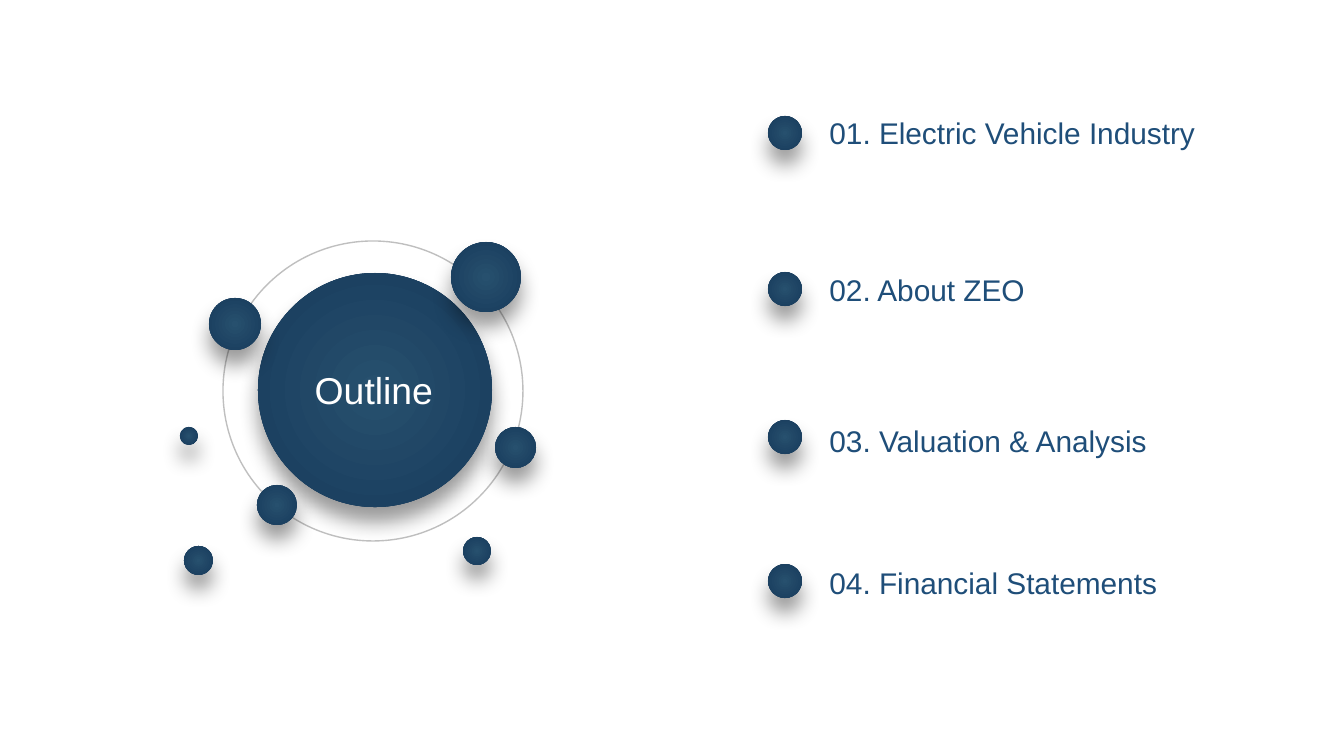
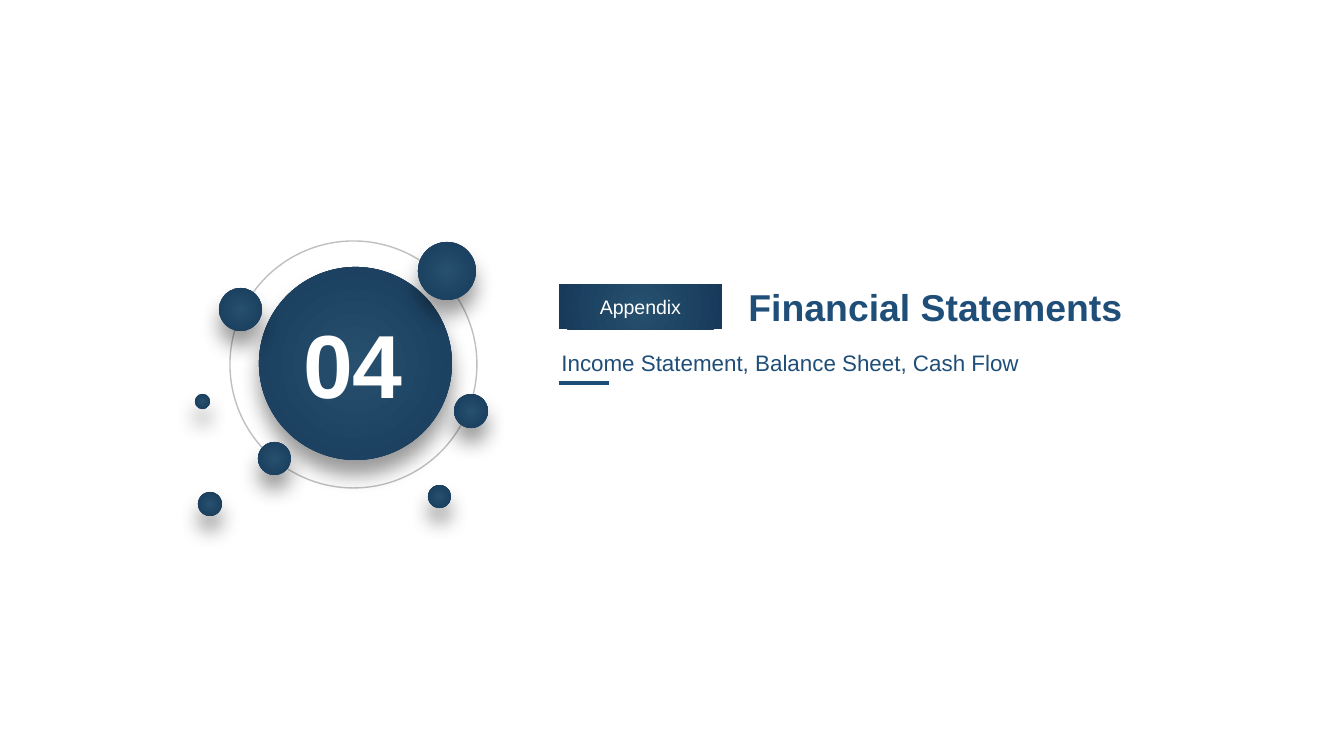
"""Build the outline slide and the appendix divider of the deck."""
import pptx
import pptx.dml.color
import pptx.enum.shapes
import pptx.enum.text
import pptx.oxml.ns
import pptx.util
from lxml import etree

PX = 6804
FONT = "Arial"
COLORS = {
    "core": "27506E",
    "edge": "173A5B",
    "ink": "1F4E79",
    "ring": "BFBFBF",
    "white": "FFFFFF",
    "shadow": "000000",
}
RGB = {name: pptx.dml.color.RGBColor.from_string(value) for name, value in COLORS.items()}
LEFT = pptx.enum.text.PP_ALIGN.LEFT
CENTER = pptx.enum.text.PP_ALIGN.CENTER
OVAL = pptx.enum.shapes.MSO_SHAPE.OVAL
RECTANGLE = pptx.enum.shapes.MSO_SHAPE.RECTANGLE
qn = pptx.oxml.ns.qn


def add_glow_shape(slide, kind, left, top, width, height, shadow=True):
    """Add a shape with the radial blue fill and, if wanted, the soft shadow."""
    shape = slide.shapes.add_shape(kind, left * PX, top * PX, width * PX, height * PX)
    shape.fill.gradient()
    for stop, name in zip(shape.fill.gradient_stops, ("core", "edge")):
        stop.color.rgb = RGB[name]
    gradient = shape.element.spPr.find(qn("a:gradFill"))
    gradient.remove(gradient.find(qn("a:lin")))
    radial = etree.SubElement(gradient, qn("a:path"), path="circle")
    etree.SubElement(radial, qn("a:fillToRect"), l="50000", t="50000", r="50000", b="50000")
    shape.line.fill.background()
    shape.shadow.inherit = False
    if shadow:
        effects = shape.element.spPr.find(qn("a:effectLst"))
        outer = etree.SubElement(effects, qn("a:outerShdw"), blurRad="139700", dist="101600",
                                 dir="5400000", algn="t", rotWithShape="0")
        color = etree.SubElement(outer, qn("a:srgbClr"), val=COLORS["shadow"])
        etree.SubElement(color, qn("a:alpha"), val="40000")
    return shape


def write_text(shape, box, lines, size, color="ink", bold=False, align=LEFT,
               line_spacing=1.0, gaps=(0,)):
    """Place a text shape and fill it with formatted paragraphs."""
    shape.left, shape.top, shape.width, shape.height = [length * PX for length in box]
    frame = shape.text_frame
    frame.text = "\n".join(lines)
    frame.word_wrap = False
    frame.auto_size = pptx.enum.text.MSO_AUTO_SIZE.NONE
    frame.vertical_anchor = pptx.enum.text.MSO_ANCHOR.TOP
    for paragraph, gap in zip(frame.paragraphs, gaps):
        properties = paragraph._p.get_or_add_pPr()
        properties.set("marL", "0")
        properties.set("indent", "0")
        etree.SubElement(properties, qn("a:buNone"))
        paragraph.alignment = align
        paragraph.line_spacing = line_spacing
        paragraph.space_before = pptx.util.Pt(gap)
        paragraph.font.name = FONT
        paragraph.font.size = pptx.util.Pt(size)
        paragraph.font.bold = bold
        paragraph.font.color.rgb = RGB[color]


presentation = pptx.Presentation()
presentation.slide_width = 1344 * PX
presentation.slide_height = 756 * PX
layout = presentation.slide_layouts[1]
outline = presentation.slides.add_slide(layout)
appendix = presentation.slides.add_slide(layout)

RING_SIZE = 300
BALLS = [
    (78, 32, 234),
    (271, 1, 70),
    (29, 57, 52),
    (4, 305, 29),
    (77, 244, 40),
    (315, 186, 41),
    (283, 296, 28),
    (0, 186, 18),
]
ORBIT_TOP = 241
for slide, orbit_left, scale in ((outline, 180, 1), (appendix, 195, 0.823)):
    ring_size = round(RING_SIZE * scale) * PX
    ring = slide.shapes.add_shape(OVAL, (orbit_left + round(43 * scale)) * PX,
                                  ORBIT_TOP * PX, ring_size, ring_size)
    ring.fill.background()
    ring.line.color.rgb = RGB["ring"]
    ring.line.width = pptx.util.Pt(0.75)
    ring.shadow.inherit = False
    for ball in BALLS:
        left, top, size = [round(length * scale) for length in ball]
        add_glow_shape(slide, OVAL, orbit_left + left, ORBIT_TOP + top, size, size)

title = outline.shapes.title
write_text(title, (301, 360, 146, 59), ["Outline"], 20, "white", align=CENTER)
title.element.getparent().append(title.element)

topics = ["Electric Vehicle Industry", "About ZEO", "Valuation & Analysis", "Financial Statements"]
write_text(outline.placeholders[1], (816, 108, 398, 495),
           [f"{number:02}. {topic}" for number, topic in enumerate(topics, 1)],
           16, gaps=(0, 65, 61.5, 57))
for dot_top in (116, 272, 420, 564):
    add_glow_shape(outline, OVAL, 768, dot_top, 34, 34)

number_box = appendix.shapes.add_textbox(0, 0, PX, PX)
write_text(number_box, (289, 302, 128, 122), ["04"], 48, "white", bold=True, align=CENTER)
write_text(appendix.shapes.title, (735, 277, 405, 59), ["Financial Statements"], 20, bold=True)
write_text(appendix.placeholders[1], (548, 329, 489, 50),
           ["Income Statement, Balance Sheet, Cash Flow"], 12, line_spacing=1.5)

underline = appendix.shapes.add_connector(pptx.enum.shapes.MSO_CONNECTOR.STRAIGHT,
                                          559 * PX, 383 * PX, 609 * PX, 383 * PX)
underline.line.color.rgb = RGB["ink"]
underline.line.width = pptx.util.Pt(2.25)
etree.SubElement(underline.element.spPr, qn("a:effectLst"))

tag_box = (559, 284, 163, 45)
tag = add_glow_shape(appendix, RECTANGLE, *tag_box, shadow=False)
write_text(tag, tag_box, ["Appendix"], 10.5, "white", align=CENTER)
tag.text_frame.vertical_anchor = pptx.enum.text.MSO_ANCHOR.MIDDLE

presentation.save("out.pptx")
